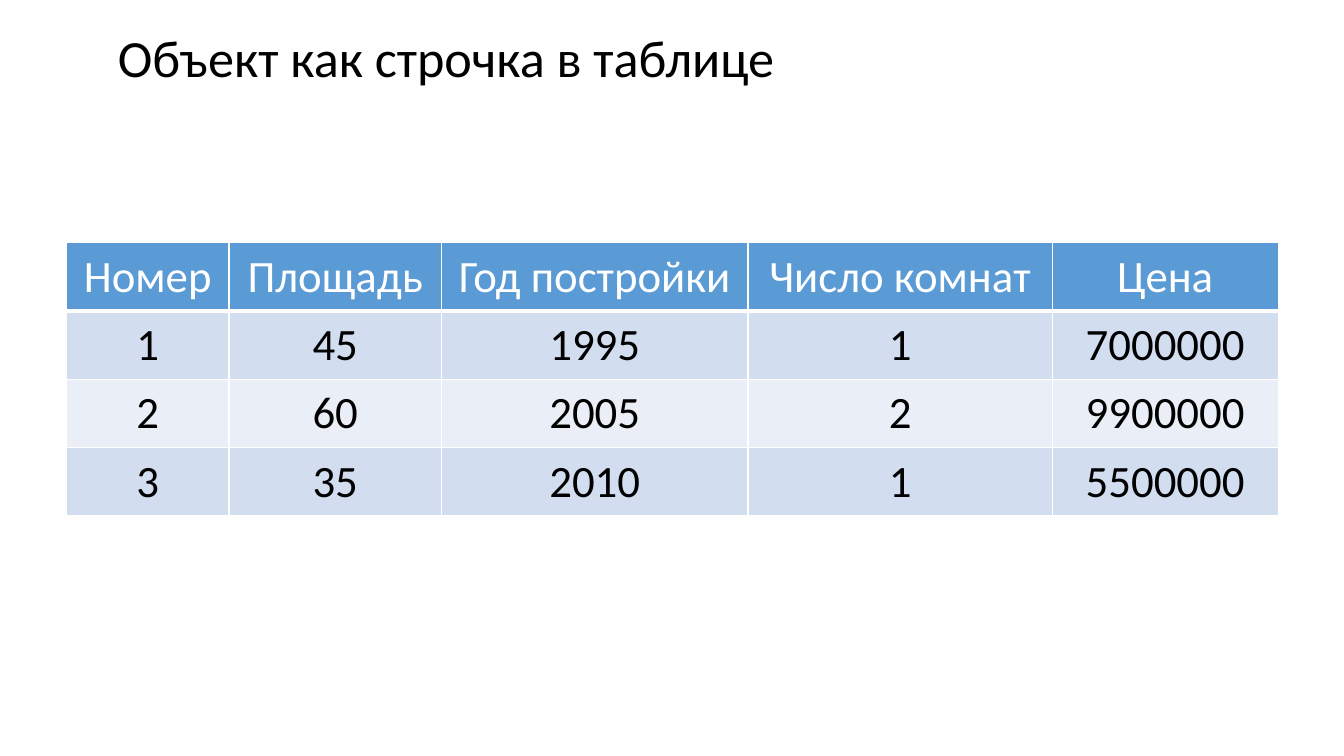
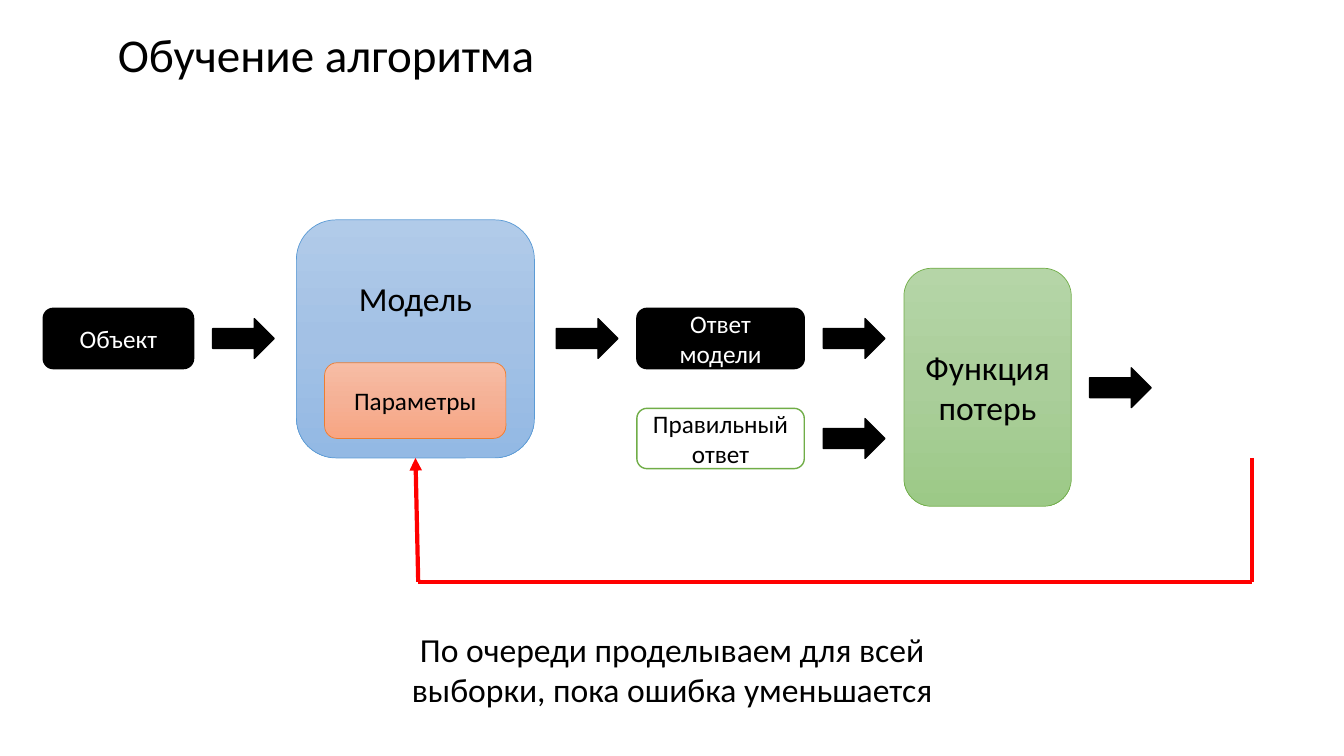
from copy import deepcopy
from dataclasses import dataclass

from lxml import etree
from pptx import Presentation
from pptx.dml.color import RGBColor
from pptx.enum.shapes import MSO_CONNECTOR, MSO_SHAPE
from pptx.enum.text import MSO_ANCHOR, MSO_AUTO_SIZE, PP_ALIGN
from pptx.oxml.ns import qn
from pptx.util import Cm, Pt

ROUNDED = MSO_SHAPE.ROUNDED_RECTANGLE
RIGHT_ARROW = MSO_SHAPE.RIGHT_ARROW
STRAIGHT = MSO_CONNECTOR.STRAIGHT
TOP, MIDDLE = MSO_ANCHOR.TOP, MSO_ANCHOR.MIDDLE
CENTER, LEFT = PP_ALIGN.CENTER, PP_ALIGN.LEFT
NO_AUTOFIT = MSO_AUTO_SIZE.NONE
FIT_SHAPE = MSO_AUTO_SIZE.SHAPE_TO_FIT_TEXT

FONT = "Calibri"
BLACK, WHITE, RED = "000000", "FFFFFF", "FF0000"
BLUE, ORANGE, GREEN = "5B9BD5", "ED7D31", "70AD47"
BANDS = ("D2DEEF", "EAEFF7")
TITLE_ONLY = 5
BOTTOM_SIDE = 2

ROWS = (
    ("Номер", "Площадь", "Год постройки", "Число комнат", "Цена"),
    ("1", "45", "1995", "1", "7000000"),
    ("2", "60", "2005", "2", "9900000"),
    ("3", "35", "2010", "1", "5500000"),
)
COLUMN_WIDTHS = (4.09, 5.36, 7.72, 7.67, 5.69)
ROW_HEIGHT = 1.71

ARROW_WIDTH, ARROW_HEIGHT = 1.55, 1.0
UPPER, LOWER, LOSS_MIDDLE = 8.53, 11.05, 9.77


@dataclass(frozen=True)
class Box:
    text: str
    left: float
    top: float
    width: float
    height: float
    fill: tuple[str, ...]
    line: str
    size: float = 18
    color: str = BLACK
    line_width: float = 1
    bottom_inset: float = 0.13


@dataclass(frozen=True)
class Arrow:
    left: float
    middle: float


MODEL = Box("Модель", 7.47, 5.54, 6, 6, ("B1CBE9", "A3C1E5", "93B9E4"), BLUE,
            size=24, line_width=0.5, bottom_inset=2.16)
BOXES = (
    Box("Параметры", 8.18, 9.14, 4.57, 1.91, ("F7BDA5", "F5B196", "F8A582"),
        ORANGE, line_width=0.5),
    Box("Объект", 1.09, 7.77, 3.79, 1.52, (BLACK,), BLACK, color=WHITE),
    Box("Ответ модели", 16.05, 7.77, 4.22, 1.52, (BLACK,), BLACK, color=WHITE),
    Box("Правильный ответ", 16.05, 10.29, 4.22, 1.52, (WHITE,), GREEN),
    Box("Функция потерь", 22.78, 6.76, 4.22, 6, ("B5D5A7", "AACE9A", "9CC987"),
        GREEN, size=24, line_width=0.5),
)
ARROWS = (
    Arrow(5.36, UPPER),
    Arrow(14.02, UPPER),
    Arrow(20.75, UPPER),
    Arrow(20.75, LOWER),
    Arrow(27.46, LOSS_MIDDLE),
)
FEEDBACK = ((31.55, 11.54), (31.55, 14.66), (10.54, 14.66), (10.47, 11.54))


def rgb(value: str) -> RGBColor:
    return RGBColor.from_string(value)


def write(frame, text: str, size: float, color: str = BLACK, align=CENTER):
    para = frame.paragraphs[0]
    para.alignment = align
    span = para.add_run()
    span.text = text
    span.font.name = FONT
    span.font.size = Pt(size)
    span.font.bold = False
    span.font.color.rgb = rgb(color)
    return para


def add_page(deck, title: str, size: float):
    page = deck.slides.add_slide(deck.slide_layouts[TITLE_ONLY])
    box = page.shapes.title
    box.left, box.top, box.width, box.height = Cm(2.8), Cm(0.64), Cm(30.33), Cm(1.52)
    frame = box.text_frame
    frame.word_wrap = True
    frame.auto_size = NO_AUTOFIT
    frame.vertical_anchor = TOP
    frame.margin_left = frame.margin_top = Cm(0.17)
    write(frame, title, size, align=LEFT).line_spacing = 0.9
    return page


def set_border(cell, side: str, width: float) -> None:
    properties = cell._tc.get_or_add_tcPr()
    line = etree.SubElement(properties, qn(f"a:{side}"), w=str(Pt(width)))
    solid = etree.SubElement(line, qn("a:solidFill"))
    etree.SubElement(solid, qn("a:srgbClr"), val=WHITE)


def add_objects_table(page) -> None:
    table = page.shapes.add_table(
        len(ROWS), len(COLUMN_WIDTHS), Cm(1.68), Cm(6.12),
        Cm(sum(COLUMN_WIDTHS)), Cm(ROW_HEIGHT * len(ROWS))).table
    for column, width in zip(table.columns, COLUMN_WIDTHS):
        column.width = Cm(width)
    for number, values in enumerate(ROWS):
        header = number == 0
        table.rows[number].height = Cm(ROW_HEIGHT)
        for column, value in enumerate(values):
            cell = table.cell(number, column)
            cell.margin_left = cell.margin_right = Cm(0.33)
            cell.margin_top = cell.margin_bottom = Cm(0.17)
            set_border(cell, "lnL", 1)
            set_border(cell, "lnR", 1)
            set_border(cell, "lnT", 3 if number == 1 else 1)
            set_border(cell, "lnB", 3 if header else 1)
            cell.fill.solid()
            cell.fill.fore_color.rgb = rgb(BLUE if header else BANDS[(number - 1) % 2])
            write(cell.text_frame, value, 32, WHITE if header else BLACK)


def paint(shape, colors: tuple[str, ...], line: str, line_width: float) -> None:
    shape.shadow.inherit = False
    shape.line.color.rgb = rgb(line)
    shape.line.width = Pt(line_width)
    if len(colors) == 1:
        shape.fill.solid()
        shape.fill.fore_color.rgb = rgb(colors[0])
        return
    shape.fill.gradient()
    shape.fill.gradient_angle = 270
    stop_list = next(shape.element.iter(qn("a:gsLst")))
    stop_list.append(deepcopy(stop_list[0]))
    for number, (stop, color) in enumerate(zip(shape.fill.gradient_stops, colors)):
        stop.position = number / (len(colors) - 1)
        stop.color.rgb = rgb(color)


def add_box(page, box: Box):
    shape = page.shapes.add_shape(
        ROUNDED, Cm(box.left), Cm(box.top), Cm(box.width), Cm(box.height))
    paint(shape, box.fill, box.line, box.line_width)
    frame = shape.text_frame
    frame.word_wrap = True
    frame.vertical_anchor = MIDDLE
    frame.margin_bottom = Cm(box.bottom_inset)
    write(frame, box.text, box.size, box.color)
    return shape


def add_arrow(page, arrow: Arrow) -> None:
    shape = page.shapes.add_shape(
        RIGHT_ARROW, Cm(arrow.left), Cm(arrow.middle - ARROW_HEIGHT / 2),
        Cm(ARROW_WIDTH), Cm(ARROW_HEIGHT))
    paint(shape, (BLACK,), BLACK, 1)


def add_feedback(page, model) -> None:
    for start, end in zip(FEEDBACK, FEEDBACK[1:]):
        connector = page.shapes.add_connector(
            STRAIGHT, Cm(start[0]), Cm(start[1]), Cm(end[0]), Cm(end[1]))
        connector.line.color.rgb = rgb(RED)
        connector.line.width = Pt(3)
        etree.SubElement(connector.element.spPr, qn("a:effectLst"))
    connector.end_connect(model, BOTTOM_SIDE)
    etree.SubElement(connector.line._get_or_add_ln(), qn("a:tailEnd"), type="triangle")


def add_caption(page, text: str) -> None:
    box = page.shapes.add_textbox(Cm(9.5), Cm(15.72), Cm(14.88), Cm(2.31))
    box.text_frame.word_wrap = True
    box.text_frame.auto_size = FIT_SHAPE
    write(box.text_frame, text, 24)


def main() -> None:
    deck = Presentation()
    deck.slide_width, deck.slide_height = Cm(33.87), Cm(19.05)

    add_objects_table(add_page(deck, "Объект как строчка в таблице", 37.3))

    page = add_page(deck, "Обучение алгоритма", 33.6)
    model = add_box(page, MODEL)
    for box in BOXES:
        add_box(page, box)
    for arrow in ARROWS:
        add_arrow(page, arrow)
    add_feedback(page, model)
    add_caption(page, "По очереди проделываем для всей выборки, пока ошибка уменьшается")

    deck.save("out.pptx")


if __name__ == "__main__":
    main()
